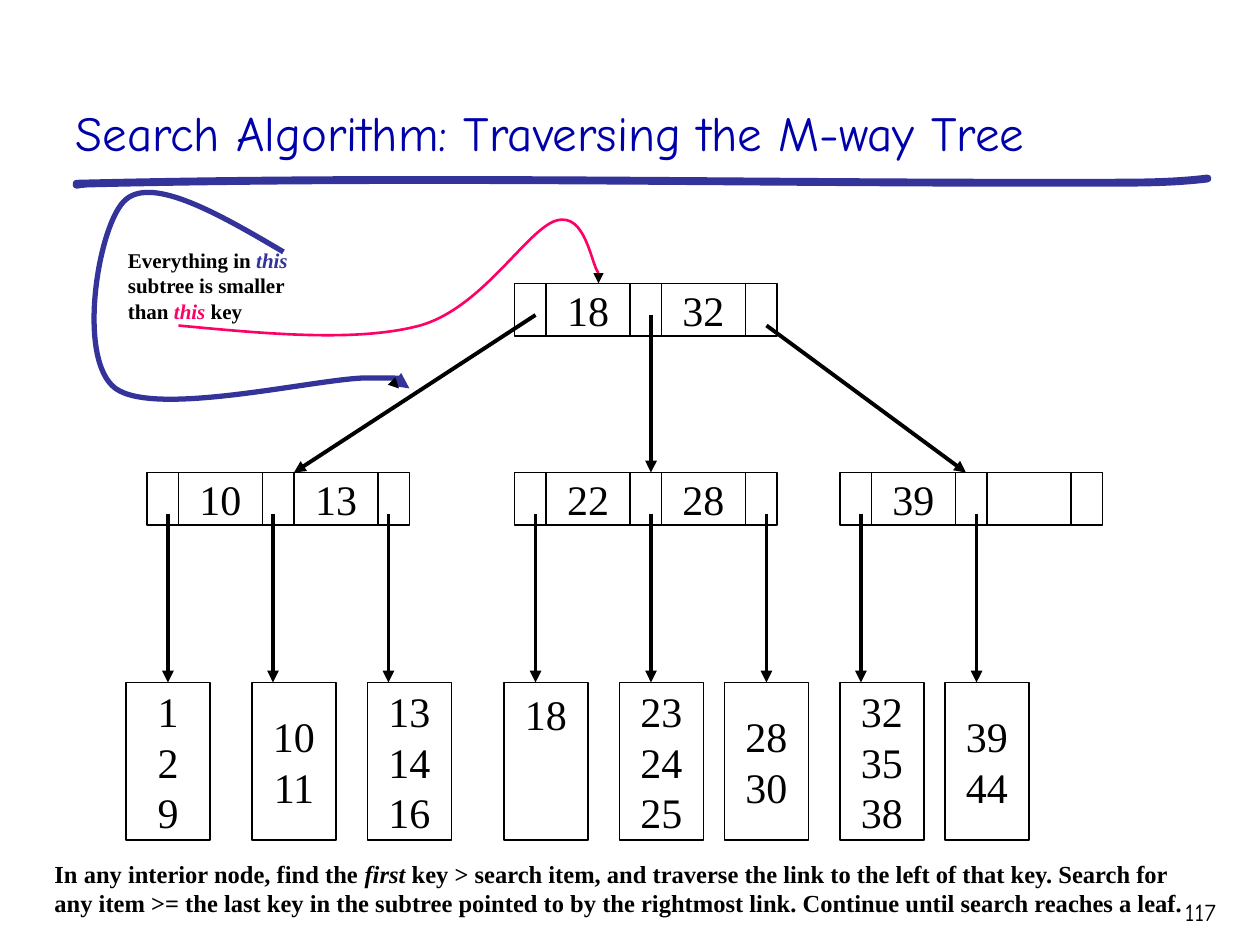
from collections import namedtuple

from lxml import etree
from pptx import Presentation
from pptx import util as u
from pptx.dml.color import RGBColor
from pptx.enum import shapes, text
from pptx.oxml import ns

COLORS = {"ink": "000000", "title": "0000AA", "blue": "333399", "pink": "FF0066"}
SERIF, HAND = "Times New Roman", "Comic Neue"
COLUMNS, ROWS = 120, 90
UNIT = u.Inches(10) / COLUMNS
KEY, POINTER = 8, 3
Box = namedtuple("Box", "left top width height")


def grid(*cells):
    return [round(cell * UNIT) for cell in cells]


def color(name):
    return RGBColor.from_string(COLORS[name])


def style_run(run, size, font=SERIF, shade="ink", bold=False, italic=False):
    run.font.size = u.Pt(size)
    run.font.name = font
    run.font.color.rgb = color(shade)
    run.font.bold = bold
    run.font.italic = italic


def style_line(shape, shade, width, arrow=False, rounded=False):
    shape.line.color.rgb = color(shade)
    shape.line.width = u.Pt(width)
    outline = shape.line._get_or_add_ln()
    if rounded:
        outline.set("cap", "rnd")
    if arrow:
        etree.SubElement(outline, ns.qn("a:tailEnd"), type="triangle")


def add_cell(slide, box, lines=(), anchor=text.MSO_ANCHOR.MIDDLE):
    shape = slide.shapes.add_shape(shapes.MSO_SHAPE.RECTANGLE, *grid(*box))
    shape.shadow.inherit = False
    shape.fill.background()
    style_line(shape, "ink", 0.75)
    frame = shape.text_frame
    frame.word_wrap = False
    frame.vertical_anchor = anchor
    if lines:
        frame.text = "\n".join(lines)
        for paragraph in frame.paragraphs:
            paragraph.alignment = text.PP_ALIGN.CENTER
            style_run(paragraph.runs[0], 24)


def add_arrow(slide, start, end, width=2.25):
    connector = slide.shapes.add_connector(
        shapes.MSO_CONNECTOR.STRAIGHT, *grid(*start, *end))
    style_line(connector, "ink", width, arrow=True)
    etree.SubElement(connector._element.spPr, ns.qn("a:effectLst"))


def add_curve(slide, points, shade, width, arrow=False, rounded=False):
    start, *controls = [grid(*point) for point in points]
    builder = slide.shapes.build_freeform(*start)
    builder.add_line_segments(controls, close=False)
    shape = builder.convert_to_shape()
    segments = list(shape._element.iter(ns.qn("a:lnTo")))
    outline = segments[0].getparent()
    for first in range(0, len(segments), 3):
        curve = etree.SubElement(outline, ns.qn("a:cubicBezTo"))
        for segment in segments[first:first + 3]:
            curve.append(segment[0])
            outline.remove(segment)
    shape.shadow.inherit = False
    shape.fill.background()
    style_line(shape, shade, width, arrow, rounded)


def add_text(slide, box, parts, size, font=SERIF, bold=False,
             alignment=text.PP_ALIGN.LEFT):
    frame = slide.shapes.add_textbox(*grid(*box)).text_frame
    frame.word_wrap = True
    paragraph = frame.paragraphs[0]
    paragraph.alignment = alignment
    for words, shade, italic in parts:
        run = paragraph.add_run()
        run.text = words
        style_run(run, size, font, shade, bold, italic)


def add_header(slide, box):
    title = slide.shapes.title
    title.left, title.top, title.width, title.height = grid(*box)
    frame = title.text_frame
    frame.text = "Search Algorithm: Traversing the M-way Tree"
    frame.auto_size = text.MSO_AUTO_SIZE.NONE
    frame.vertical_anchor = text.MSO_ANCHOR.BOTTOM
    frame.paragraphs[0].alignment = text.PP_ALIGN.LEFT
    style_run(frame.paragraphs[0].runs[0], 28, HAND, "title")
    rule = [(2.2, 1.5), (1.9, 1.5), (1.6, 1.5), (1.3, 1.6),
            (1.6, 1.6), (1.2, 1.5), (1.3, 1.5),
            (34, 0.7), (66.6, 1.5), (99.1, 1.4),
            (102.5, 1.4), (105.7, 1.4), (109, 1)]
    bottom = box.top + box.height
    add_curve(slide, [(box.left + x, bottom + y) for x, y in rule],
              "blue", 4.5, rounded=True)


def add_node(slide, box, keys):
    for index in range(len(keys) + 1):
        left = box.left + index * (KEY + POINTER)
        add_cell(slide, Box(left, box.top, POINTER, box.height))
        if index < len(keys):
            add_cell(slide, Box(left + POINTER, box.top, KEY, box.height),
                     [keys[index]] if keys[index] else ())


def add_tree(slide, box):
    def at(column, row):
        return box.left + column, box.top + row

    leaf_row, inner_row, node_height = 38, 18, 5
    nodes = [(37, 0, ["18", "32"]), (2, inner_row, ["10", "13"]),
             (37, inner_row, ["22", "28"]), (68, inner_row, ["39", ""])]
    leaves = [(0, "1 2 9"), (12, "10 11"), (23, "13 14 16"), (36, "18"),
              (47, "23 24 25"), (57, "28 30"), (68, "32 35 38"), (78, "39 44")]
    for column, row, keys in nodes:
        add_node(slide, Box(*at(column, row), 25, node_height), keys)
    for column, values in leaves:
        lines = values.split()
        anchor = text.MSO_ANCHOR.TOP if len(lines) == 1 else text.MSO_ANCHOR.MIDDLE
        add_cell(slide, Box(*at(column, leaf_row), KEY, box.height - leaf_row),
                 lines, anchor)
    for column in (4, 14, 25, 39, 50, 61, 70, 81):
        add_arrow(slide, at(column, inner_row + 4), at(column, leaf_row))
    for start, end in (((39, 3), 16), ((50, 3), 50), ((61, 4), 80)):
        add_arrow(slide, at(*start), at(end, inner_row))


def add_annotation(slide, box):
    def at(column, row):
        return box.left + column, box.top + row

    add_text(slide, box, [
        ("Everything in ", "ink", False), ("this ", "blue", True),
        ("subtree is smaller than ", "ink", False),
        ("this ", "pink", True), ("key", "ink", False)], 12, bold=True)
    key_path = [(6, 8), (14.4, 8.8), (23, 9.6), (29, 8),
                (35, 6.3), (39.2, -1.2), (42, -2),
                (44.8, -2.8), (45.3, 2.2), (46, 3)]
    subtree_path = [(16, 1), (9.9, -2.6), (3.6, -6.2), (1, -4),
                    (-1.6, -1.9), (-3.8, 11.2), (0, 14),
                    (3.9, 16.8), (19.4, 13), (24, 13),
                    (28.7, 13), (27.3, 13.8), (28, 14)]
    add_curve(slide, [at(*point) for point in key_path], "pink", 1.5)
    add_arrow(slide, at(46, 3), at(46, 4), 0.75)
    add_curve(slide, [at(*point) for point in subtree_path], "blue", 3, arrow=True)
    add_arrow(slide, at(26.8, 13.8), at(27, 14), 0.75)


def add_summary(slide, box):
    add_text(slide, box, [
        ("In any interior node, find the ", "ink", False),
        ("first ", "ink", True),
        ("key > search item, and traverse the link to the left of that key. "
         "Search for any item >= the last key in the subtree pointed to by the "
         "rightmost link. Continue until search reaches a leaf.", "ink", False)],
        14, bold=True)


def add_page_number(slide, box):
    add_text(slide, box, [("117", "ink", False)], 14, HAND,
             alignment=text.PP_ALIGN.RIGHT)


def main():
    presentation = Presentation()
    presentation.slide_width, presentation.slide_height = grid(COLUMNS, ROWS)
    slide = presentation.slides.add_slide(presentation.slide_layouts[5])
    add_header(slide, Box(6, 2, 111, 14))
    add_page_number(slide, Box(105, 84.8, 12, 4.2))
    add_tree(slide, Box(12, 27, 93, 53))
    add_annotation(slide, Box(11, 23, 21, 8.4))
    add_summary(slide, Box(4, 81.2, 110, 8.8))
    presentation.save("out.pptx")


if __name__ == "__main__":
    main()
